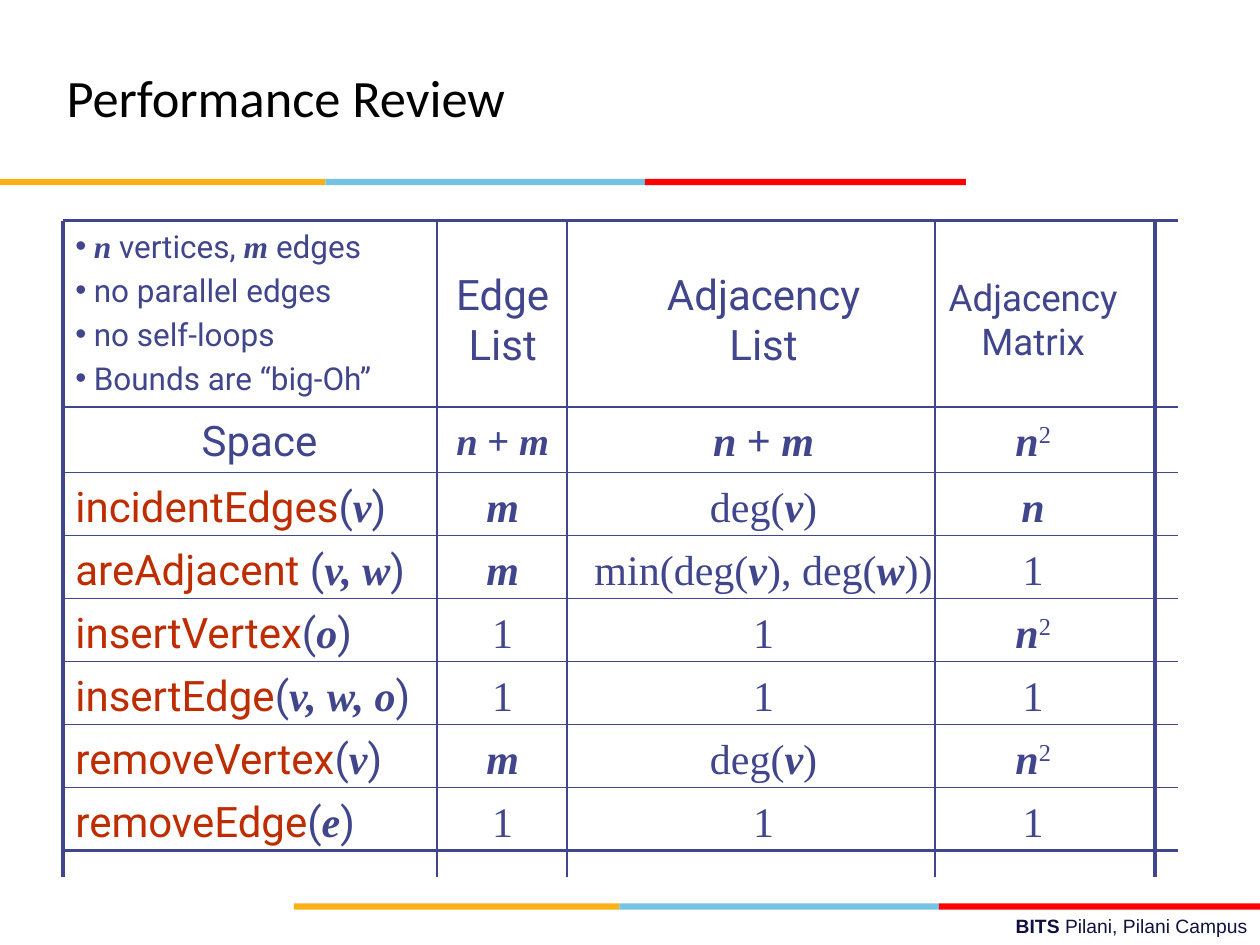
from lxml.etree import SubElement
from pptx import Presentation
from pptx.dml.color import RGBColor
from pptx.enum.shapes import MSO_CONNECTOR, MSO_SHAPE
from pptx.enum.text import MSO_ANCHOR, PP_ALIGN
from pptx.oxml.ns import qn
from pptx.util import Pt

COLORS = {"ink": "40458C", "method": "BE2D00", "title": "000000", "footer": "101141",
          "gold": "FCB017", "sky": "76C2E5", "red": "FF0000"}
SERIF = "Times New Roman"
FORMATS = {
    "label": {"name": "Roboto", "color": "ink"},
    "method": {"name": "Roboto", "color": "method"},
    "variable": {"name": SERIF, "bold": True, "italic": True, "color": "ink"},
    "number": {"name": SERIF, "color": "ink"},
    "power": {"name": SERIF, "color": "ink", "baseline": "30000"},
    "sign": {"name": "Noto Sans", "color": "ink"},
    "title": {"name": "Calibri", "color": "title"},
    "footer": {"name": "Arial", "color": "footer"},
    "school": {"name": "Arial", "bold": True, "color": "footer"},
}


class SlideBuilder:
    """Holds the text formats and the current slide."""

    def __init__(self, slide, colors, formats):
        self.slide, self.colors, self.formats = slide, colors, formats

    def color(self, name):
        """Return a named colour."""
        return RGBColor.from_string(self.colors[name])

    def bar(self, left, top, width, height, fill):
        """Add a plain filled rectangle."""
        shape = self.slide.shapes.add_shape(
            MSO_SHAPE.RECTANGLE, Pt(left), Pt(top), Pt(width), Pt(height))
        shape.shadow.inherit = False
        shape.fill.solid()
        shape.fill.fore_color.rgb = self.color(fill)
        shape.line.fill.background()

    def line(self, start, end, width):
        """Add a straight grid line."""
        connector = self.slide.shapes.add_connector(
            MSO_CONNECTOR.STRAIGHT, *map(Pt, start + end))
        connector.line.color.rgb = self.color("ink")
        connector.line.width = Pt(width)
        SubElement(connector._element.spPr, qn("a:effectLst"))

    def run(self, paragraph, style, text, size):
        """Add one formatted run."""
        run = paragraph.add_run()
        run.text = text
        run.font.size = Pt(size)
        for key, value in self.formats[style].items():
            if key == "color":
                run.font.color.rgb = self.color(value)
            elif key == "baseline":
                run._r.get_or_add_rPr().set(key, value)
            else:
                setattr(run.font, key, value)

    def bullet(self, paragraph):
        """Give a paragraph a hanging bullet."""
        properties = paragraph._p.get_or_add_pPr()
        properties.set("marL", str(Pt(10.5)))
        properties.set("indent", str(-Pt(10.5)))
        color = SubElement(properties, qn("a:buClr"))
        SubElement(color, qn("a:srgbClr"), val=self.colors["ink"])
        SubElement(properties, qn("a:buFont"), typeface="Arial")
        SubElement(properties, qn("a:buChar"), char="•")

    def text(self, area, paragraphs, size, align=PP_ALIGN.LEFT,
             anchor=MSO_ANCHOR.MIDDLE, bullets=False):
        """Add a text box whose paragraphs are lists of (style, text) runs."""
        frame = self.slide.shapes.add_textbox(*map(Pt, area)).text_frame
        frame.word_wrap = True
        frame.vertical_anchor = anchor
        for index, runs in enumerate(paragraphs):
            paragraph = frame.add_paragraph() if index else frame.paragraphs[0]
            if bullets:
                self.bullet(paragraph)
                if index:
                    paragraph.space_before = Pt(3.6)
            paragraph.alignment = align
            for style, text in runs:
                for number, part in enumerate(text.split("\n")):
                    if number:
                        paragraph.add_line_break()
                    self.run(paragraph, style, part, size)


ONE = [("number", "1")]
M = [("variable", "m")]
N = [("variable", "n")]
N_SQUARED = N + [("power", "2")]
N_PLUS_M = [("variable", "n "), ("sign", "+"), ("variable", " m")]
DEGREE = [("number", "deg("), ("variable", "v"), ("number", ")")]
MIN_DEGREE = [("number", "min(deg("), ("variable", "v"), ("number", "), deg("),
              ("variable", "w"), ("number", "))")]

ASSUMPTIONS = [
    [("variable", "n"), ("label", " vertices, "), ("variable", "m"), ("label", " edges")],
    [("label", "no parallel edges")],
    [("label", "no self-loops")],
    [("label", "Bounds are “big-Oh”")],
]
HEADINGS = [("Edge\nList", 24), ("Adjacency\nList", 24), ("Adjacency Matrix", 21)]
OPERATIONS = [
    ("incidentEdges", "v", M, DEGREE, N),
    ("areAdjacent ", "v, w", M, MIN_DEGREE, ONE),
    ("insertVertex", "o", ONE, ONE, N_SQUARED),
    ("insertEdge", "v, w, o", ONE, ONE, ONE),
    ("removeVertex", "v", M, DEGREE, N_SQUARED),
    ("removeEdge", "e", ONE, ONE, ONE),
]
COLUMNS = [(36, 224.64), (249.84, 74.88), (324, 224.64), (534.24, 112.32)]
TOP, SPACE_TOP, FIRST_ROW, ROW_STEP = 126, 232.56, 270, 36
HEADER_HEIGHT, ROW_HEIGHT = 112.32, 37.44
RIGHT, BOTTOM, LAST_COLUMN = 673.2, 501.12, 660.24


def add_stripes(builder):
    """Draw the three-colour stripe under the title and above the footer."""
    for left, top in ((0, 102.24), (168, 516.24)):
        for offset, width, fill in ((0, 186, "gold"), (186, 182.6, "sky"),
                                    (368.6, 183.4, "red")):
            builder.bar(left + offset, top, width, 3.6, fill)


def add_cells(builder):
    """Fill the comparison grid."""
    (first_left, first_width), *value_columns = COLUMNS
    builder.text((first_left, TOP, first_width, HEADER_HEIGHT), ASSUMPTIONS, 18,
                 anchor=MSO_ANCHOR.TOP, bullets=True)
    for (left, width), (heading, size) in zip(value_columns, HEADINGS):
        builder.text((left, TOP, width, HEADER_HEIGHT), [[("label", heading)]], size,
                     PP_ALIGN.CENTER)
    space_row = ([("label", "Space")], N_PLUS_M, N_PLUS_M, N_SQUARED)
    for (left, width), runs, size in zip(COLUMNS, space_row, (24, 22, 24, 24)):
        builder.text((left, SPACE_TOP, width, ROW_HEIGHT), [runs], size, PP_ALIGN.CENTER)
    for row, (method, arguments, *costs) in enumerate(OPERATIONS):
        top = FIRST_ROW + row * ROW_STEP
        signature = [("method", method), ("label", "("), ("variable", arguments),
                     ("label", ")")]
        builder.text((first_left, top, first_width, ROW_HEIGHT), [signature], 24)
        for (left, width), cost in zip(value_columns, costs):
            builder.text((left, top, width, ROW_HEIGHT), [cost], 24, PP_ALIGN.CENTER)


def add_grid(builder):
    """Rule the grid with heavy outer lines and thin inner ones."""
    left = COLUMNS[0][0]
    rows = [TOP, SPACE_TOP] + [FIRST_ROW + ROW_STEP * row
                               for row in range(len(OPERATIONS) + 1)]
    columns = [column_left for column_left, _ in COLUMNS] + [LAST_COLUMN]
    for y in rows:
        builder.line((left, y), (RIGHT, y), 2.25 if y in (rows[0], rows[-1]) else 1)
    for x in columns:
        builder.line((x, TOP), (x, BOTTOM), 2.25 if x in (columns[0], columns[-1]) else 1)


def main():
    """Build and save the slide."""
    presentation = Presentation()
    presentation.slide_width, presentation.slide_height = Pt(720), Pt(540)
    slide = presentation.slides.add_slide(presentation.slide_layouts[6])
    builder = SlideBuilder(slide, COLORS, FORMATS)
    builder.text((257.76, 519.12, 462.24, 20.88),
                 [[("school", "BITS "), ("footer", "Pilani, Pilani Campus")]], 11,
                 PP_ALIGN.RIGHT, MSO_ANCHOR.TOP)
    add_stripes(builder)
    builder.text((30.96, 21.6, 481.68, 66.96), [[("title", "Performance Review")]], 30)
    add_cells(builder)
    add_grid(builder)
    presentation.save("out.pptx")


if __name__ == "__main__":
    main()
